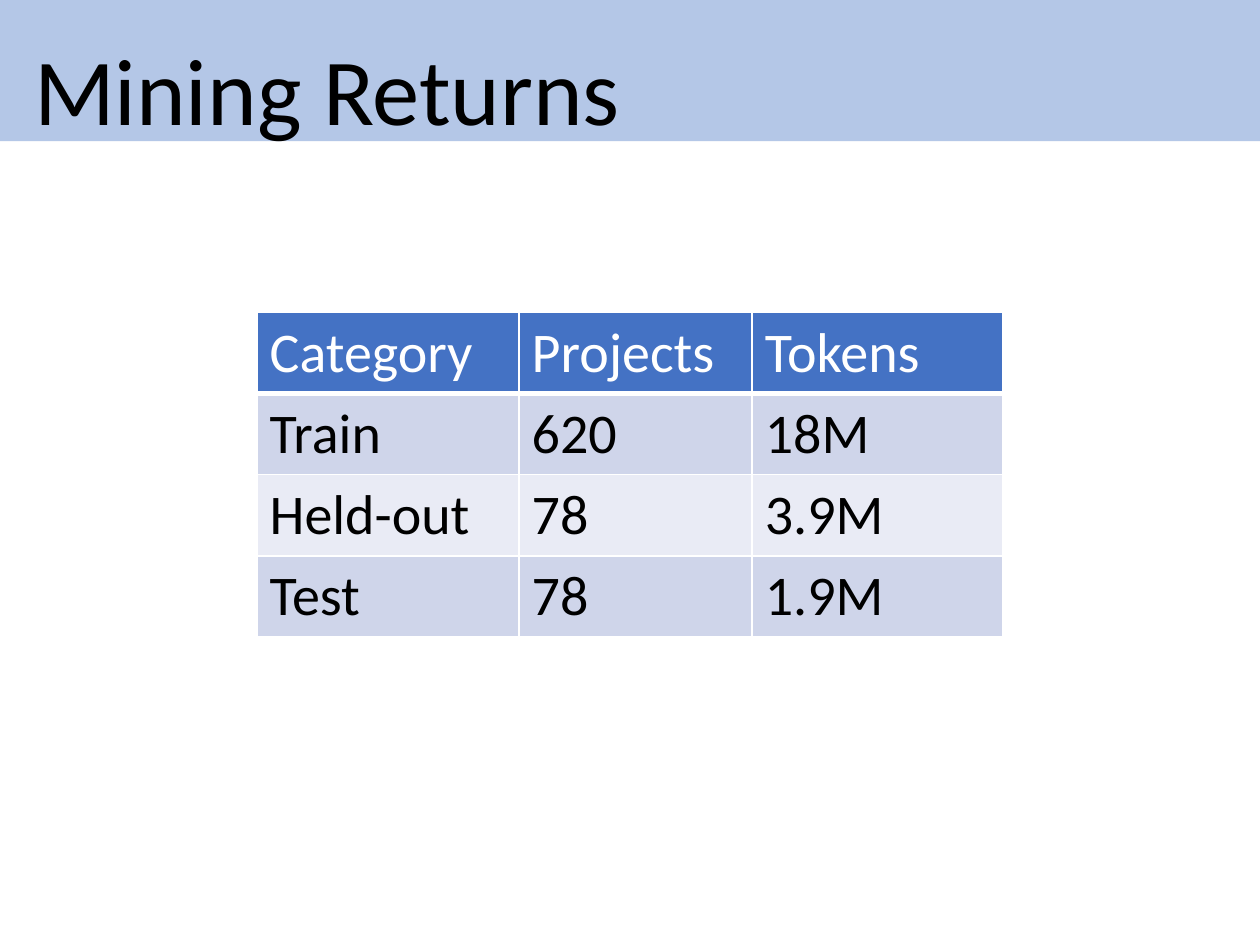
from lxml.etree import SubElement
from pptx import Presentation
from pptx.dml.color import RGBColor
from pptx.enum.text import MSO_ANCHOR, MSO_AUTO_SIZE, PP_ALIGN
from pptx.oxml.ns import qn
from pptx.util import Inches, Pt

TITLE = "Mining Returns"
ROWS = [
    ("Category", "Projects", "Tokens"),
    ("Train", "620", "18M"),
    ("Held-out", "78", "3.9M"),
    ("Test", "78", "1.9M"),
]
COLORS = {
    "banner": "B4C7E7", "header": "4472C4", "odd": "CFD5EA",
    "even": "E9EBF5", "light": "FFFFFF", "dark": "000000",
}
FONT = "Calibri"
SLIDE_WIDTH, SLIDE_HEIGHT = 10, 7.5
COLUMN_WIDTHS = (2.08, 1.85, 1.99)
ROW_HEIGHT = 0.61
TABLE_TOP = 2.48
BANNER_TOP, BANNER_HEIGHT = -0.03, 1.15


def color(name):
    return RGBColor.from_string(COLORS[name])


def write(frame, text, size, ink, line_spacing=None, space_after=None):
    para = frame.paragraphs[0]
    para.alignment = PP_ALIGN.LEFT
    para.line_spacing = line_spacing
    para.space_after = space_after
    span = para.add_run()
    span.text = text
    span.font.name = FONT
    span.font.size = Pt(size)
    span.font.color.rgb = color(ink)


def paint(item, name):
    item.fill.solid()
    item.fill.fore_color.rgb = color(name)


def add_borders(cell, bottom=1):
    """Draw white cell borders, placed before the fill as the schema requires."""
    properties = cell._tc.get_or_add_tcPr()
    widths = {"a:lnL": 1, "a:lnR": 1, "a:lnT": 1, "a:lnB": bottom}
    for tag, width in widths.items():
        line = SubElement(properties, qn(tag), w=str(Pt(width)))
        fill = SubElement(line, qn("a:solidFill"))
        SubElement(fill, qn("a:srgbClr"), val=COLORS["light"])


def add_banner(page):
    banner = page.shapes.title
    banner.left, banner.top = 0, Inches(BANNER_TOP)
    banner.width, banner.height = Inches(SLIDE_WIDTH), Inches(BANNER_HEIGHT)
    paint(banner, "banner")
    frame = banner.text_frame
    frame.auto_size = MSO_AUTO_SIZE.NONE
    frame.vertical_anchor = MSO_ANCHOR.TOP
    frame.margin_left = Inches(0.27)
    write(frame, TITLE, 54, "dark", line_spacing=1.25, space_after=Pt(6))


def add_returns_table(page):
    width = sum(COLUMN_WIDTHS)
    table = page.shapes.add_table(
        len(ROWS), len(COLUMN_WIDTHS),
        Inches((SLIDE_WIDTH - width) / 2), Inches(TABLE_TOP),
        Inches(width), Inches(ROW_HEIGHT * len(ROWS)),
    ).table
    for column, column_width in zip(table.columns, COLUMN_WIDTHS):
        column.width = Inches(column_width)
    for r, values in enumerate(ROWS):
        is_header = r == 0
        band = "header" if is_header else "odd" if r % 2 else "even"
        for c, value in enumerate(values):
            cell = table.cell(r, c)
            add_borders(cell, bottom=3 if is_header else 1)
            paint(cell, band)
            write(cell.text_frame, value, 32, "light" if is_header else "dark")
            cell.text_frame.paragraphs[0].runs[0].font.bold = False


def main():
    deck = Presentation()
    deck.slide_width, deck.slide_height = Inches(SLIDE_WIDTH), Inches(SLIDE_HEIGHT)
    page = deck.slides.add_slide(deck.slide_layouts[5])
    add_returns_table(page)
    add_banner(page)
    deck.save("out.pptx")


if __name__ == "__main__":
    main()
